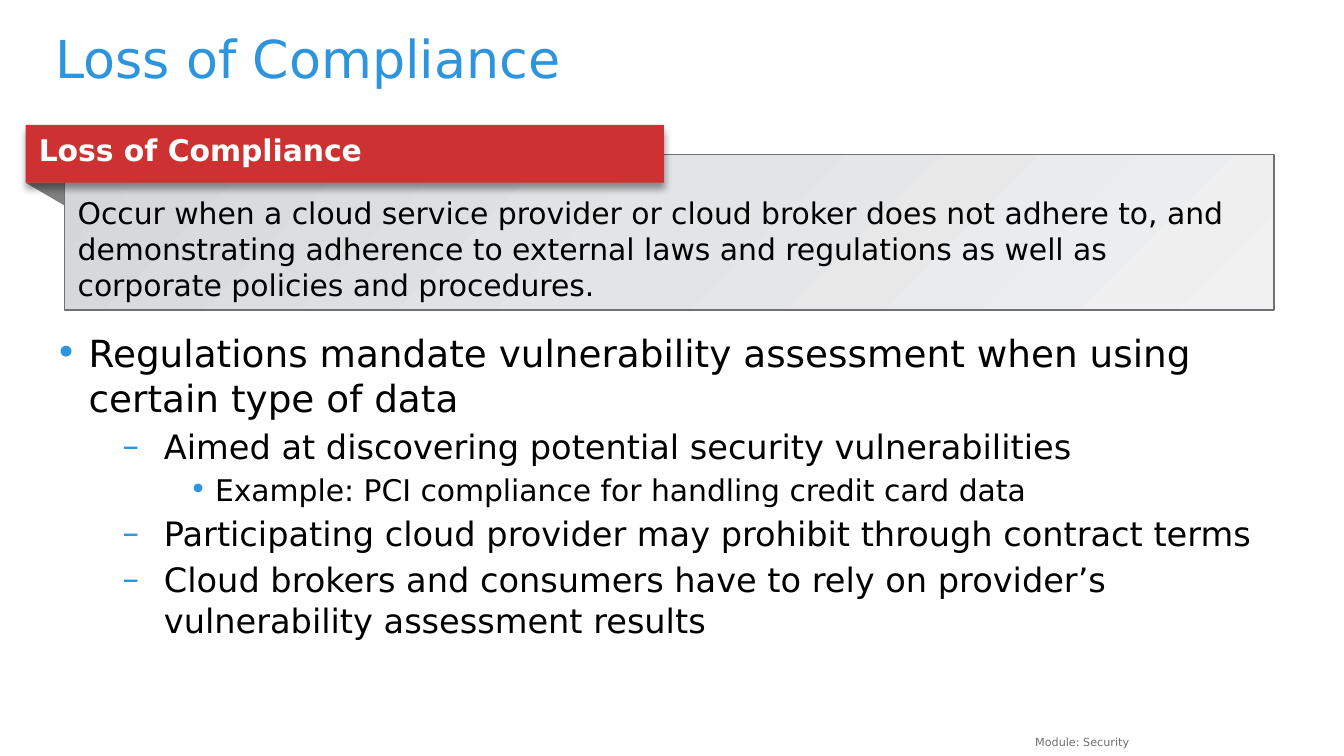
from lxml.etree import SubElement
from pptx import Presentation
from pptx.dml.color import RGBColor
from pptx.enum.shapes import MSO_SHAPE
from pptx.enum.text import MSO_ANCHOR, PP_ALIGN
from pptx.oxml import parse_xml
from pptx.oxml.ns import nsdecls, qn
from pptx.util import Inches, Pt

FONT = "DejaVu Sans"
BLUE = "2C95DD"
GRAY = "717074"


def color(value):
    return RGBColor.from_string(value)


def write(paragraph, text, size, ink, bold=False):
    paragraph.text = text
    paragraph.font.name = FONT
    paragraph.font.size = Pt(size)
    paragraph.font.bold = bold
    paragraph.font.color.rgb = color(ink)


deck = Presentation()
deck.slide_width = Inches(10)
deck.slide_height = Inches(10) * 9 // 16
page = deck.slides.add_slide(deck.slide_layouts[6])

title = page.shapes.add_textbox(Inches(0.41), Inches(0.25), Inches(9.25), Inches(0.5))
body = page.shapes.add_textbox(Inches(0.41), Inches(2.46), Inches(9.25), Inches(2.35))
for box in (title, body):
    frame = box.text_frame
    frame.word_wrap = True
    frame.margin_left = frame.margin_right = frame.margin_top = frame.margin_bottom = 0

heading = title.text_frame.paragraphs[0]
heading.line_spacing = 0.9
write(heading, "Loss of Compliance", 28, BLUE)

levels = [(0.25, 0.25, "•", 20), (0.81, 0.31, "–", 18), (1.19, 0.19, "•", 16)]
points = [
    (0, "Regulations mandate vulnerability assessment when using certain type of data"),
    (1, "Aimed at discovering potential security vulnerabilities"),
    (2, "Example: PCI compliance for handling credit card data"),
    (1, "Participating cloud provider may prohibit through contract terms"),
    (1, "Cloud brokers and consumers have to rely on provider’s vulnerability assessment results"),
]
for index, (level, text) in enumerate(points):
    indent, hanging, mark, size = levels[level]
    para = body.text_frame.add_paragraph() if index else body.text_frame.paragraphs[0]
    para.level = level
    para.space_before = Pt(3 if index else 0)
    properties = para._p.get_or_add_pPr()
    properties.set("marL", str(Inches(indent)))
    properties.set("indent", str(-Inches(hanging)))
    bullet_color = SubElement(properties, qn("a:buClr"))
    SubElement(bullet_color, qn("a:srgbClr"), val=BLUE)
    SubElement(properties, qn("a:buFont"), typeface=FONT)
    SubElement(properties, qn("a:buChar"), char=mark)
    write(para, text, size, "000000")

footer = page.shapes.add_textbox(Inches(2.83), Inches(5.42), Inches(5.67), Inches(0.15))
footer.text_frame.word_wrap = True
footer_para = footer.text_frame.paragraphs[0]
footer_para.alignment = PP_ALIGN.RIGHT
write(footer_para, "Module: Security", 6, GRAY)

outline = page.shapes.build_freeform(Inches(0.19), Inches(1.36), scale=1.0)
outline.add_line_segments([(Inches(0.48), Inches(1.36)), (Inches(0.48), Inches(1.53))])
fold = outline.convert_to_shape()
fold.shadow.inherit = False
fold.fill.solid()
fold.fill.fore_color.rgb = color("808080")
fold.line.fill.background()

panel = page.shapes.add_shape(
    MSO_SHAPE.RECTANGLE, Inches(0.48), Inches(1.15), Inches(9), Inches(1.16)
)
ribbon = page.shapes.add_shape(
    MSO_SHAPE.RECTANGLE, Inches(0.19), Inches(0.93), Inches(4.75), Inches(0.43)
)
for shape in (panel, ribbon):
    shape.shadow.inherit = False
    shape.text_frame.word_wrap = True
    shape.text_frame.vertical_anchor = MSO_ANCHOR.TOP
    shape.text_frame.paragraphs[0].alignment = PP_ALIGN.LEFT

stops = "".join(
    f'<a:gs pos="{position * 1000}"><a:srgbClr val="{shade}"/></a:gs>'
    for position, shade in [(0, "D4D6D8"), (50, "E3E4E5"), (100, "F1F1F2")]
)
gradient = parse_xml(
    f'<a:gradFill {nsdecls("a")} rotWithShape="1"><a:gsLst>{stops}</a:gsLst>'
    '<a:lin ang="2700000" scaled="0"/></a:gradFill>'
)
panel._element.spPr.find(qn("a:prstGeom")).addnext(gradient)
panel.line.color.rgb = color(GRAY)
panel.line.width = Pt(1)
panel.text_frame.margin_top = Inches(0.3)
write(
    panel.text_frame.paragraphs[0],
    "Occur when a cloud service provider or cloud broker does not adhere to, and "
    "demonstrating adherence to external laws and regulations as well as "
    "corporate policies and procedures.",
    16,
    "000000",
)

ribbon.fill.solid()
ribbon.fill.fore_color.rgb = color("CE3131")
ribbon.line.fill.background()
shadow = SubElement(
    ribbon._element.spPr.find(qn("a:effectLst")),
    qn("a:outerShdw"),
    blurRad=str(Pt(4)),
    dist=str(Pt(3)),
    dir="5400000",
    algn="t",
    rotWithShape="0",
)
shadow_color = SubElement(shadow, qn("a:srgbClr"), val="000000")
SubElement(shadow_color, qn("a:alpha"), val="40000")
write(ribbon.text_frame.paragraphs[0], "Loss of Compliance", 16, "FFFFFF", bold=True)

deck.save("out.pptx")
